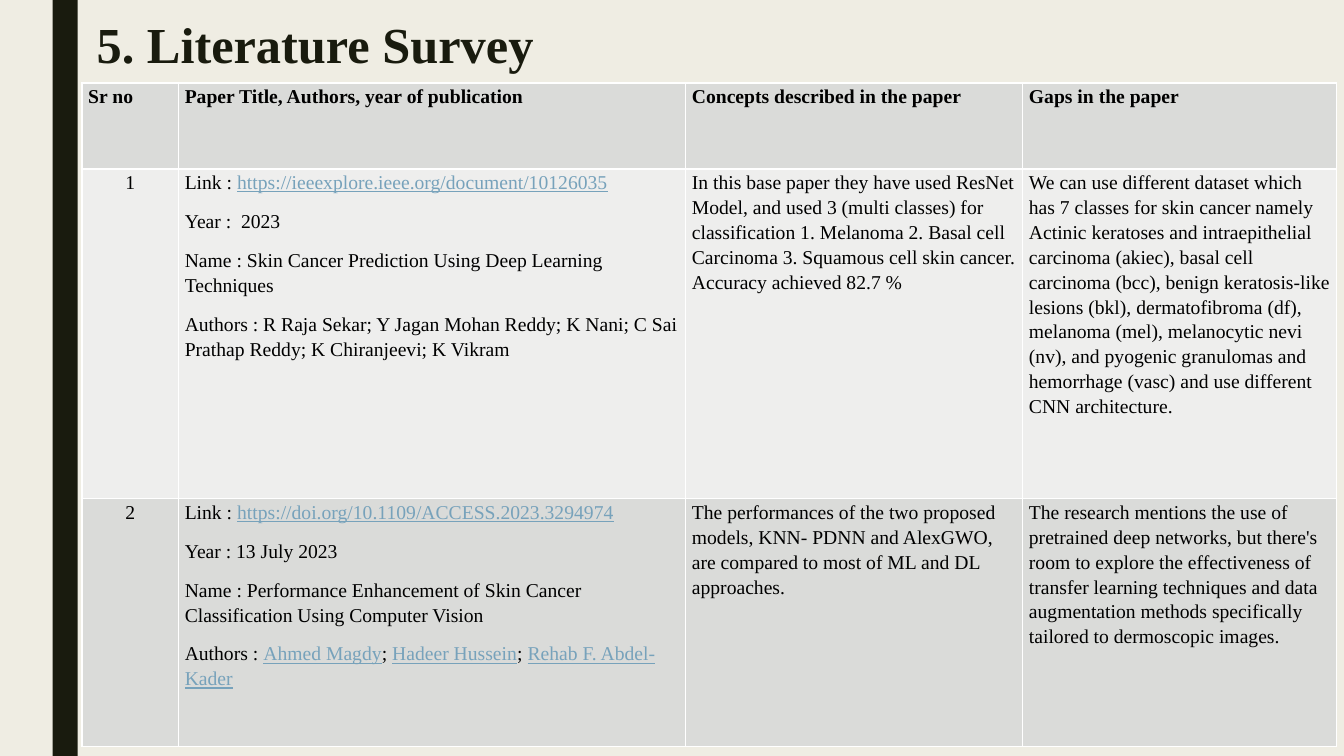
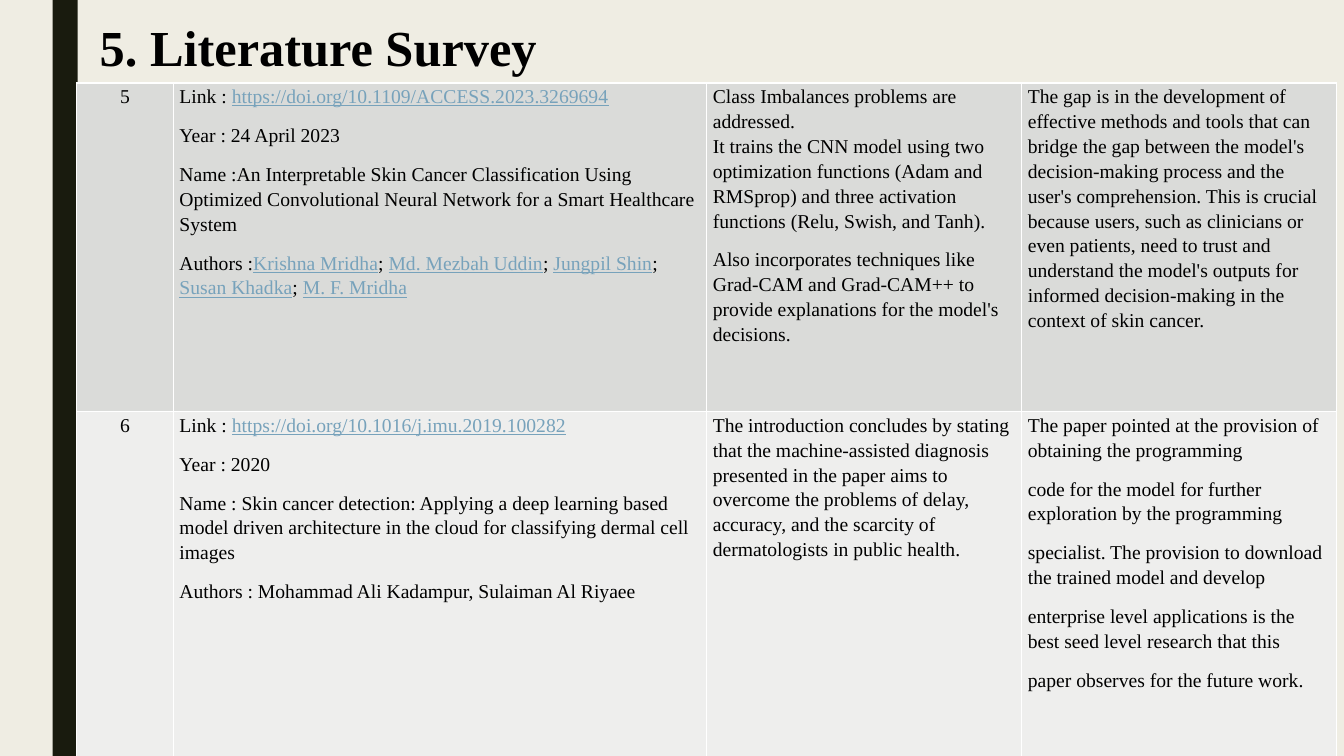
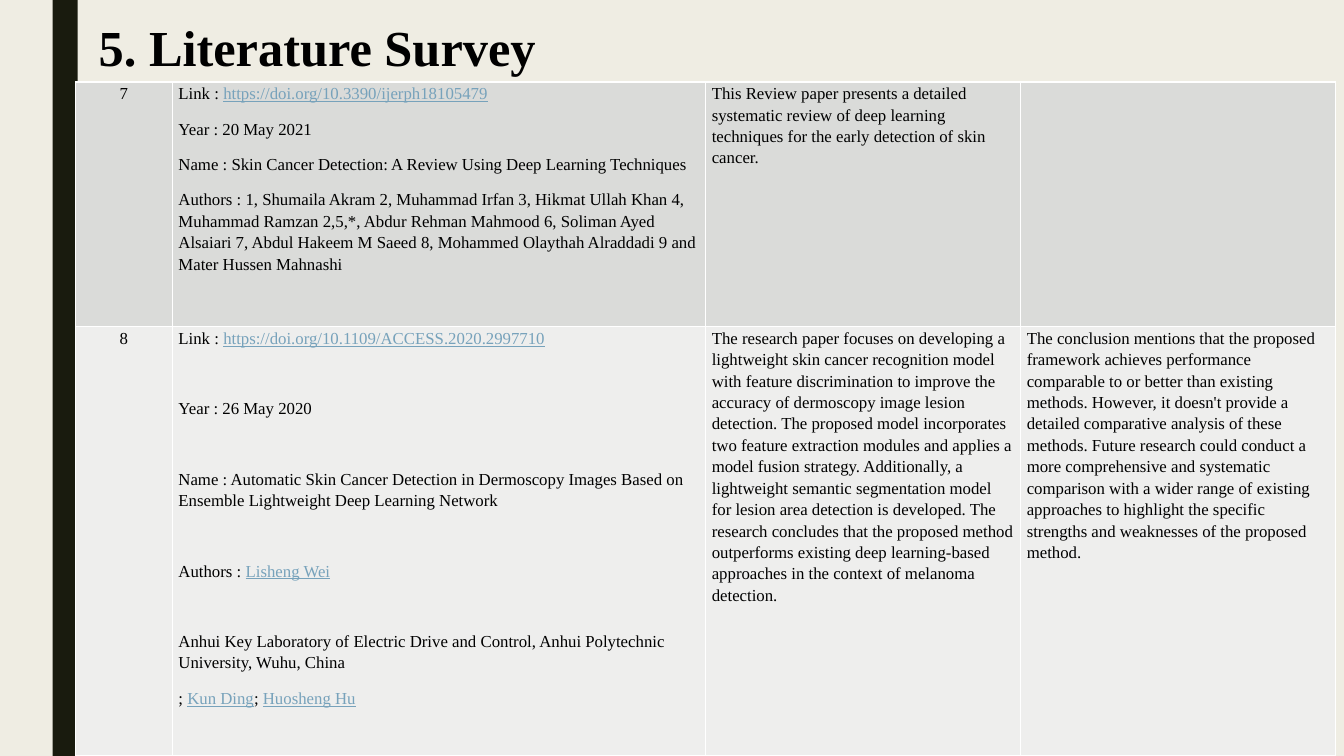
from lxml.etree import SubElement
from pptx import Presentation
from pptx.dml.color import RGBColor
from pptx.enum.shapes import MSO_SHAPE
from pptx.enum.text import MSO_ANCHOR, MSO_AUTO_SIZE, PP_ALIGN
from pptx.oxml.ns import qn
from pptx.util import Pt

PX = 9525
W, H = 1280, 720
FONT = "Times New Roman"
CREAM = RGBColor(0xEF, 0xED, 0xE3)
DARK = RGBColor(0x19, 0x1B, 0x0E)
BLACK = RGBColor(0x00, 0x00, 0x00)
LINK = RGBColor(0x77, 0xA2, 0xBB)
ROW_FILLS = [RGBColor(0xDA, 0xDB, 0xD9), RGBColor(0xEE, 0xEE, 0xED)]
GAP = 10        # points after a paragraph
WIDE_GAP = 35   # points after a widely spaced paragraph

# Each cell is a list of paragraphs: text, or (text, points after).
# Text between bars is shown as a link.
SURVEY = [
    {
        "title": (78, 10, 654, 60), "inset": (14, 2), "color": DARK,
        "table": (78, 79), "cols": [92, 483, 321, 299], "rows": [82, 314, 236],
        "size": 14, "header": True,
        "cells": [
            [["Sr no"], ["Paper Title, Authors, year of publication"],
             ["Concepts described in the paper"], ["Gaps in the paper"]],
            [["1"],
             ["Link : |https://ieeexplore.ieee.org/document/10126035|",
              "Year :  2023",
              "Name : Skin Cancer Prediction Using Deep Learning Techniques",
              "Authors : R Raja Sekar; Y Jagan Mohan Reddy; K Nani; "
              "C Sai Prathap Reddy; K Chiranjeevi; K Vikram"],
             ["In this base paper they have used ResNet Model, and used 3 "
              "(multi classes) for classification 1. Melanoma 2. Basal cell "
              "Carcinoma 3. Squamous cell skin cancer. Accuracy achieved 82.7 %"],
             ["We can use different dataset which has 7 classes for skin cancer "
              "namely Actinic keratoses and intraepithelial carcinoma (akiec), "
              "basal cell carcinoma (bcc), benign keratosis-like lesions (bkl), "
              "dermatofibroma (df), melanoma (mel), melanocytic nevi (nv), and "
              "pyogenic granulomas and hemorrhage (vasc) and use different CNN "
              "architecture."]],
            [["2"],
             ["Link : |https://doi.org/10.1109/ACCESS.2023.3294974|",
              "Year : 13 July 2023",
              "Name : Performance Enhancement of Skin Cancer Classification "
              "Using Computer Vision",
              "Authors : |Ahmed Magdy|; |Hadeer Hussein|; |Rehab F. Abdel-Kader|"],
             ["The performances of the two proposed models, KNN- PDNN and "
              "AlexGWO, are compared to most of ML and DL approaches."],
             ["The research mentions the use of pretrained deep networks, but "
              "there's room to explore the effectiveness of transfer learning "
              "techniques and data augmentation methods specifically tailored "
              "to dermoscopic images."]],
        ],
    },
    {
        "title": (73, 10, 660, 68), "inset": (22, 5), "color": BLACK,
        "table": (73, 79), "cols": [92, 508, 300, 300], "rows": [313, 329],
        "size": 14, "header": False,
        "cells": [
            [["5"],
             ["Link : |https://doi.org/10.1109/ACCESS.2023.3269694|",
              "Year : 24 April 2023",
              "Name :An Interpretable Skin Cancer Classification Using Optimized "
              "Convolutional Neural Network for a Smart Healthcare System",
              "Authors :|Krishna Mridha|; |Md. Mezbah Uddin|; |Jungpil Shin|; "
              "|Susan Khadka|; |M. F. Mridha|"],
             [("Class Imbalances problems are addressed.", 0),
              "It trains the CNN model using two optimization functions (Adam "
              "and RMSprop) and three activation functions (Relu, Swish, and "
              "Tanh).",
              "Also incorporates techniques like Grad-CAM and Grad-CAM++ to "
              "provide explanations for the model's decisions."],
             ["The gap is in the development of effective methods and tools that "
              "can bridge the gap between the model's decision-making process "
              "and the user's comprehension. This is crucial because users, such "
              "as clinicians or even patients, need to trust and understand the "
              "model's outputs for informed decision-making in the context of "
              "skin cancer."]],
            [["6"],
             ["Link : |https://doi.org/10.1016/j.imu.2019.100282|",
              "Year : 2020",
              "Name : Skin cancer detection: Applying a deep learning based model "
              "driven architecture in the cloud for classifying dermal cell images",
              "Authors : Mohammad Ali Kadampur, Sulaiman Al Riyaee"],
             ["The introduction concludes by stating that the machine-assisted "
              "diagnosis presented in the paper aims to overcome the problems of "
              "delay, accuracy, and the scarcity of dermatologists in public "
              "health."],
             ["The paper pointed at the provision of obtaining the programming",
              "code for the model for further exploration by the programming",
              "specialist. The provision to download the trained model and develop",
              "enterprise level applications is the best seed level research that "
              "this",
              "paper observes for the future work."]],
        ],
    },
    {
        "title": (72, 10, 640, 68), "inset": (22, 5), "color": BLACK,
        "table": (72, 78), "cols": [92, 508, 300, 300], "rows": [233, 409],
        "size": 12, "header": False,
        "cells": [
            [["7"],
             ["Link : |https://doi.org/10.3390/ijerph18105479|",
              "Year : 20 May 2021",
              "Name : Skin Cancer Detection: A Review Using Deep Learning "
              "Techniques",
              "Authors : 1, Shumaila Akram 2, Muhammad Irfan 3, Hikmat Ullah "
              "Khan 4, Muhammad Ramzan 2,5,*, Abdur Rehman Mahmood 6, Soliman "
              "Ayed Alsaiari 7, Abdul Hakeem M Saeed 8, Mohammed Olaythah "
              "Alraddadi 9 and Mater Hussen Mahnashi"],
             ["This Review paper presents a detailed systematic review of deep "
              "learning techniques for the early detection of skin cancer."],
             []],
            [["8"],
             [("Link : |https://doi.org/10.1109/ACCESS.2020.2997710|", WIDE_GAP),
              ("Year : 26 May 2020", WIDE_GAP),
              ("Name : Automatic Skin Cancer Detection in Dermoscopy Images Based "
               "on Ensemble Lightweight Deep Learning Network", WIDE_GAP),
              ("Authors : |Lisheng Wei|", WIDE_GAP),
              "Anhui Key Laboratory of Electric Drive and Control, Anhui "
              "Polytechnic University, Wuhu, China",
              "; |Kun Ding|; |Huosheng Hu|"],
             ["The research paper focuses on developing a lightweight skin cancer "
              "recognition model with feature discrimination to improve the "
              "accuracy of dermoscopy image lesion detection. The proposed model "
              "incorporates two feature extraction modules and applies a model "
              "fusion strategy. Additionally, a lightweight semantic segmentation "
              "model for lesion area detection is developed. The research "
              "concludes that the proposed method outperforms existing deep "
              "learning-based approaches in the context of melanoma detection."],
             ["The conclusion mentions that the proposed framework achieves "
              "performance comparable to or better than existing methods. However, "
              "it doesn't provide a detailed comparative analysis of these "
              "methods. Future research could conduct a more comprehensive and "
              "systematic comparison with a wider range of existing approaches to "
              "highlight the specific strengths and weaknesses of the proposed "
              "method."]],
        ],
    },
]


def style_cell(cell, fill):
    """White 1 pt borders, narrow margins and a plain fill."""
    tcPr = cell._tc.get_or_add_tcPr()
    for side in ("a:lnL", "a:lnR", "a:lnT", "a:lnB"):
        ln = SubElement(tcPr, qn(side), w=str(Pt(1)))
        SubElement(SubElement(ln, qn("a:solidFill")), qn("a:srgbClr"), val="FFFFFF")
    cell.fill.solid()
    cell.fill.fore_color.rgb = fill
    cell.margin_left = cell.margin_right = 6 * PX
    cell.margin_top = cell.margin_bottom = 0


def fill_cell(cell, paragraphs, size, bold, align):
    tf = cell.text_frame
    for i, item in enumerate(paragraphs):
        text, after = item if isinstance(item, tuple) else (item, GAP)
        p = tf.paragraphs[0] if i == 0 else tf.add_paragraph()
        p.alignment = align
        p.line_spacing = 1.15
        p.space_after = Pt(after)
        for j, part in enumerate(text.split("|")):
            if not part:
                continue
            is_link = j % 2 == 1
            r = p.add_run()
            r.text = part
            r.font.name = FONT
            r.font.size = Pt(size)
            r.font.bold = bold
            r.font.underline = is_link
            r.font.color.rgb = LINK if is_link else BLACK


prs = Presentation()
prs.slide_width, prs.slide_height = W * PX, H * PX
layout = prs.slide_layouts[5]

# Shared background
bg = prs.slide_master.background.fill
bg.solid()
bg.fore_color.rgb = CREAM

for n, page in enumerate(SURVEY):
    s = prs.slides.add_slide(layout)

    # Dark side band, kept on the shared layout
    if n == 0:
        band = s.shapes.add_shape(MSO_SHAPE.RECTANGLE, 50 * PX, 0, 24 * PX, H * PX)
        band.shadow.inherit = False
        band.fill.solid()
        band.fill.fore_color.rgb = DARK
        band.line.fill.background()
        layout.shapes.element.insert(2, band.element)

    # Title
    title = s.shapes.title
    title.left, title.top, title.width, title.height = [v * PX for v in page["title"]]
    tf = title.text_frame
    tf.text = "5. Literature Survey"
    tf.auto_size = MSO_AUTO_SIZE.NONE
    tf.vertical_anchor = MSO_ANCHOR.TOP
    tf.margin_left, tf.margin_top = [v * PX for v in page["inset"]]
    tf.margin_right = tf.margin_bottom = 0
    p = tf.paragraphs[0]
    p.alignment = PP_ALIGN.LEFT
    font = p.runs[0].font
    font.name, font.size, font.bold = FONT, Pt(36), True
    font.color.rgb = page["color"]

    # Survey table
    cols, rows = page["cols"], page["rows"]
    left, top = page["table"]
    table = s.shapes.add_table(len(rows), len(cols), left * PX, top * PX,
                               sum(cols) * PX, sum(rows) * PX).table
    table.first_row = table.horz_banding = False
    for column, width in zip(table.columns, cols):
        column.width = width * PX
    for i, (height, texts) in enumerate(zip(rows, page["cells"])):
        table.rows[i].height = height * PX
        is_header = page["header"] and i == 0
        for j, paragraphs in enumerate(texts):
            centred = j == 0 and not is_header
            cell = table.cell(i, j)
            style_cell(cell, ROW_FILLS[i % 2])
            fill_cell(cell, paragraphs, page["size"], is_header,
                      PP_ALIGN.CENTER if centred else PP_ALIGN.LEFT)

prs.save("out.pptx")
